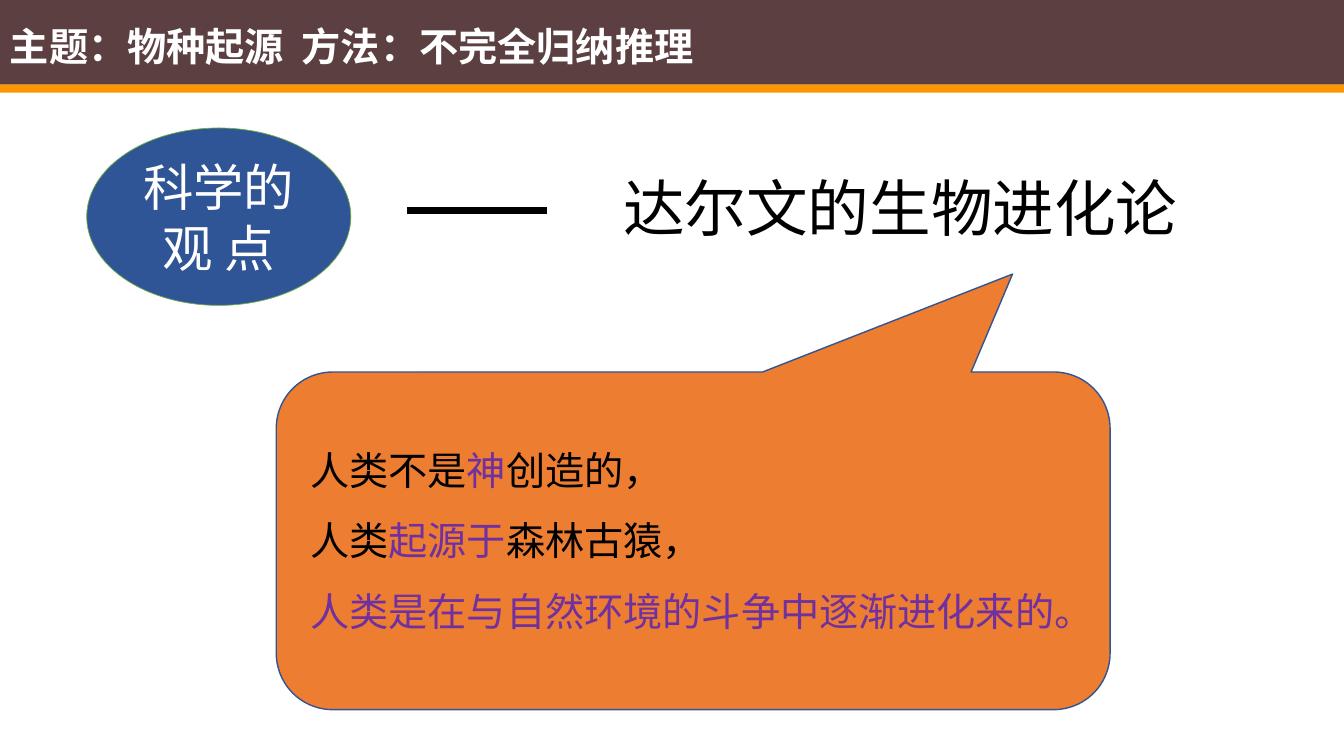
from dataclasses import dataclass

from lxml import etree
from pptx import Presentation
from pptx import util as u
from pptx.dml.color import RGBColor
from pptx.enum import shapes, text
from pptx.oxml.ns import qn

CJK = "Noto Sans CJK SC"
SERIF = "Times New Roman"
BLACK, WHITE, PURPLE = "000000", "FFFFFF", "7030A0"
SHAPE = shapes.MSO_SHAPE


@dataclass
class Block:
    kind: SHAPE
    at: tuple[float, float, float, float]
    fill: str
    line: str = ""
    line_pt: float = 0


@dataclass
class Run:
    text: str
    color: str = BLACK


def color(code: str) -> RGBColor:
    return RGBColor.from_string(code)


def add_block(s, b: Block):
    sp = s.shapes.add_shape(b.kind, *map(u.Inches, b.at))
    sp.shadow.inherit = False
    sp.fill.solid()
    sp.fill.fore_color.rgb = color(b.fill)
    if b.line:
        sp.line.color.rgb = color(b.line)
        sp.line.width = u.Pt(b.line_pt)
    else:
        sp.line.fill.background()
    return sp


def add_run(p, run: Run, size: float, font: str, bold: bool = False) -> None:
    r = p.add_run()
    r.text = run.text
    r.font.size = u.Pt(size)
    r.font.name = font
    r.font.bold = bold
    r.font.color.rgb = color(run.color)
    ea = etree.SubElement(r.font._element, qn("a:ea"))
    ea.set("typeface", CJK)


def main() -> None:
    prs = Presentation()
    prs.slide_width, prs.slide_height = u.Inches(13.33), u.Inches(7.5)
    s = prs.slides.add_slide(prs.slide_layouts[5])

    # Header band and topic
    add_block(s, Block(SHAPE.RECTANGLE, (0, 0, 13.33, 0.84), "5C3F41"))
    add_block(s, Block(SHAPE.RECTANGLE, (0, 0.84, 13.33, 0.08), "FF9500"))
    topic = s.shapes.add_textbox(*map(u.Inches, (0, 0.17, 7.01, 0.57)))
    topic.text_frame.word_wrap = False
    add_run(topic.text_frame.paragraphs[0],
            Run("主题：物种起源  方法：不完全归纳推理", WHITE), 28, SERIF, True)

    # Viewpoint ellipse
    view = add_block(s, Block(SHAPE.OVAL, (0.86, 1.27, 2.62, 1.76), "2F5597", "70AD47", 0.5))
    view.text_frame.vertical_anchor = text.MSO_ANCHOR.MIDDLE
    p = view.text_frame.paragraphs[0]
    p.alignment = text.PP_ALIGN.CENTER
    add_run(p, Run("科学的观 点", WHITE), 36, CJK)

    # Dash between ellipse and title
    dash = s.shapes.add_connector(shapes.MSO_CONNECTOR.STRAIGHT,
                                  *map(u.Inches, (4.04, 2.09, 5.43, 2.09)))
    dash.line.color.rgb = color(BLACK)
    dash.line.width = u.Pt(4.5)
    etree.SubElement(dash._element.spPr, qn("a:effectLst"))

    # Title
    title = s.shapes.title
    title.left, title.top, title.width, title.height = map(u.Inches, (6.08, 1.37, 6.73, 1.45))
    tf = title.text_frame
    tf.auto_size = text.MSO_AUTO_SIZE.NONE
    tf.vertical_anchor = text.MSO_ANCHOR.MIDDLE
    p = tf.paragraphs[0]
    p.alignment = text.PP_ALIGN.LEFT
    p.line_spacing = 0.9
    add_run(p, Run("达尔文的生物进化论"), 44, SERIF)

    # Callout, turned so that it points up at the title
    callout = add_block(s, Block(SHAPE.ROUNDED_RECTANGULAR_CALLOUT, (2.74, 3.69, 8.27, 3.35),
                                 "ED7D31", "325491", 1))
    callout.rotation = 180
    for i, value in enumerate((-0.383, 0.79, 0.167)):
        callout.adjustments[i] = value

    # Claims, upright over the callout
    claims = [
        [Run("人类不是"), Run("神", PURPLE), Run("创造的，")],
        [Run("人类"), Run("起源于", PURPLE), Run("森林古猿，")],
        [Run("人类是在与自然环境的斗争中逐渐进化来的。", PURPLE)],
    ]
    box = s.shapes.add_textbox(*map(u.Inches, (2.98, 4.14, 7.79, 2.22)))
    tf = box.text_frame
    tf.word_wrap = True
    for i, claim in enumerate(claims):
        p = tf.add_paragraph() if i else tf.paragraphs[0]
        p.line_spacing = 1.5
        for run in claim:
            add_run(p, run, 28, CJK)

    prs.save("out.pptx")


if __name__ == "__main__":
    main()
